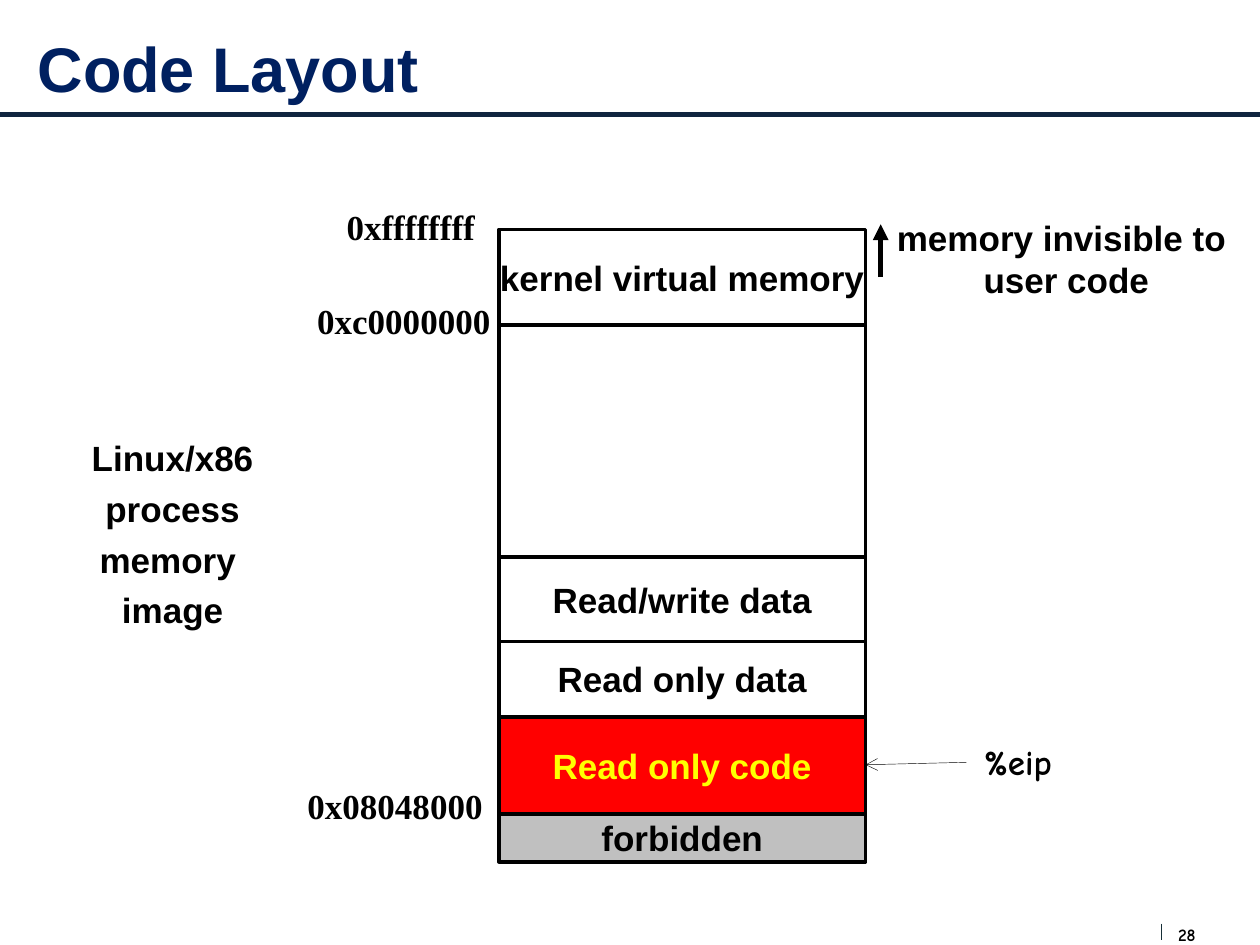
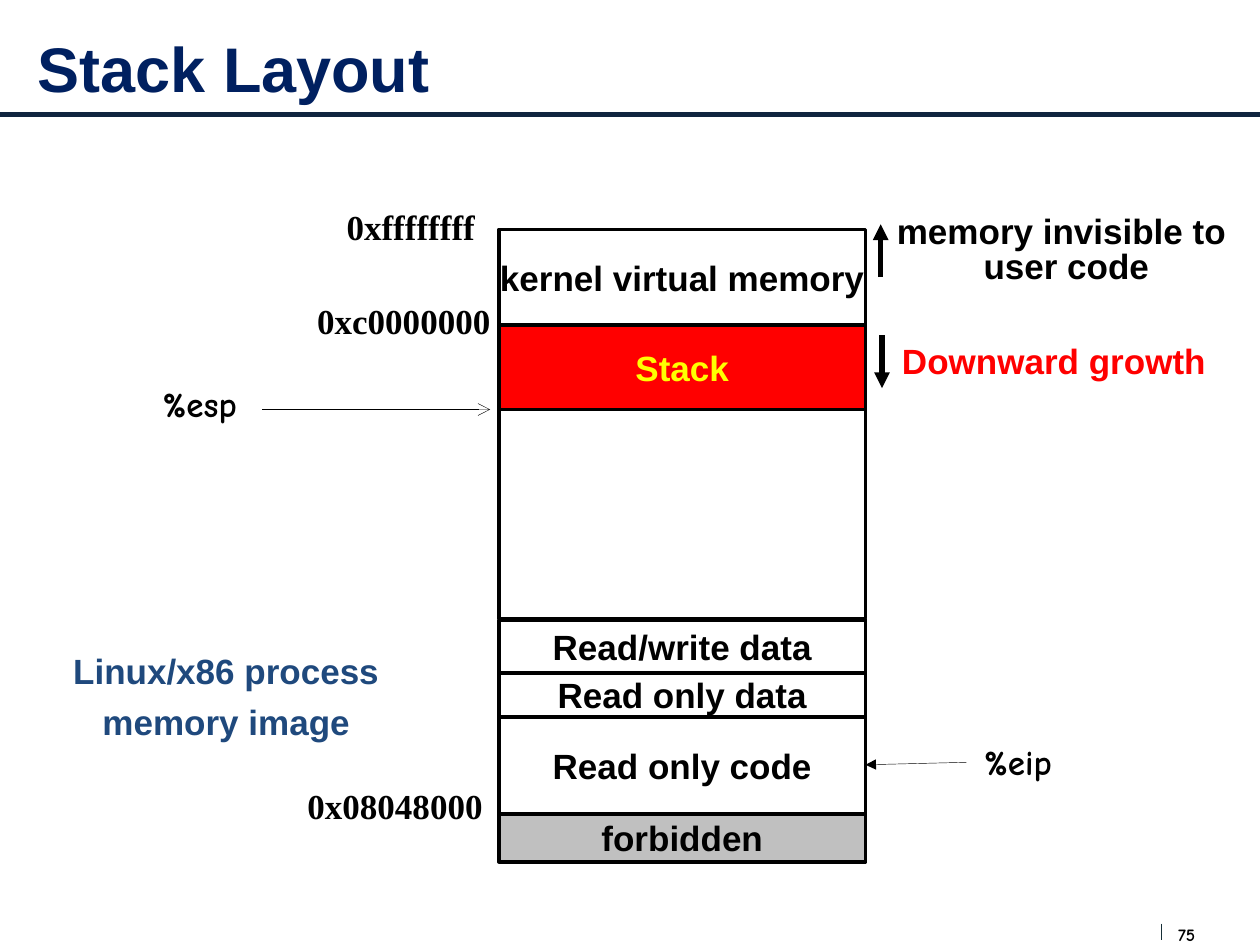
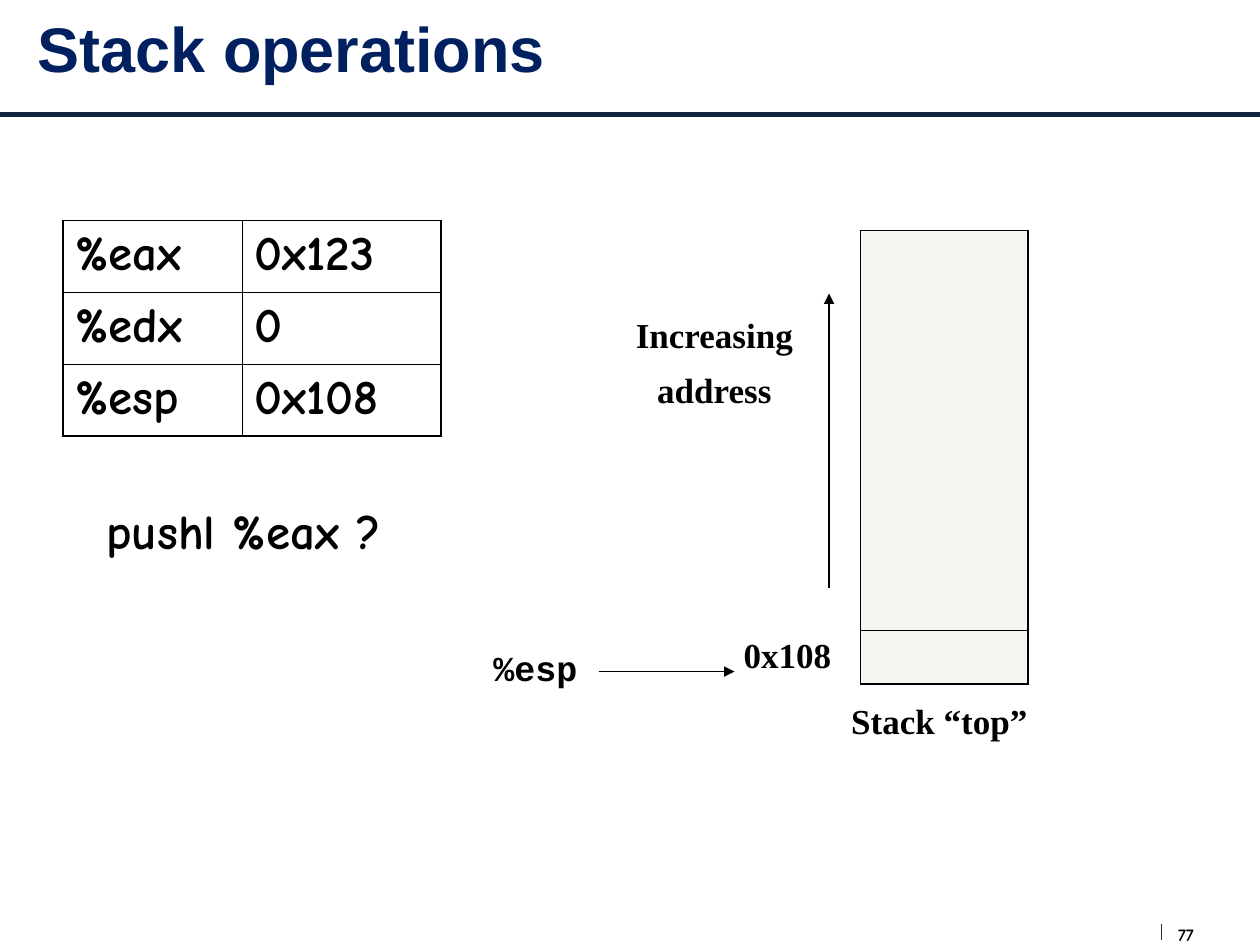
"""Build three slides on code layout, stack layout and stack operations."""
from lxml.etree import SubElement
from pptx import Presentation
from pptx.dml.color import RGBColor
from pptx.enum.shapes import MSO_CONNECTOR as Connector, MSO_SHAPE as Shape
from pptx.enum.text import MSO_ANCHOR as Anchor, MSO_AUTO_SIZE as AutoSize, PP_ALIGN as Align
from pptx.oxml.ns import qn
from pptx.util import Inches, Pt

COLORS = {
    "black": "000000", "white": "FFFFFF", "title": "002060", "rule": "10253F",
    "tick": "172F37", "red": "FF0000", "yellow": "FFFF00", "grey": "C0C0C0",
    "blue": "1F497D", "stack": "EEECE1",
}
SANS, SERIF, COMIC, MONO = "Arial", "Times New Roman", "Comic Neue", "Courier New"
MEMORY_LEFT, MEMORY_WIDTH = 3.96, 2.91
OUTER_BORDER, INNER_BORDER = 1.08, 0.45

KERNEL = ("kernel virtual memory", 1.82, 0.76, "white", "black")
FORBIDDEN = ("forbidden", 6.46, 0.38, "grey", "black")
CODE_REGIONS = [
    KERNEL,
    ("", 2.58, 2.17, "white", "black"),
    ("Read only code", 5.67, 0.81, "red", "yellow"),
    ("Read only data", 5.08, 0.61, "white", "black"),
    ("Read/write data", 4.42, 0.67, "white", "black"),
    FORBIDDEN,
]
STACK_REGIONS = [
    KERNEL,
    ("", 2.58, 2.33, "white", "black"),
    ("Read only code", 5.67, 0.81, "white", "black"),
    ("Read only data", 5.33, 0.36, "white", "black"),
    ("Read/write data", 4.92, 0.42, "white", "black"),
    FORBIDDEN,
    ("Stack", 2.58, 0.67, "red", "yellow"),
]

INVISIBLE = ["memory invisible to", " user code"]
MEMORY_LABELS = [
    (["0xffffffff"], (2.65, 1.58, 1.22, 0.44), {"font": SERIF}),
    (["0xc0000000"], (2.42, 2.33, 1.57, 0.44), {"font": SERIF}),
    (["0x08048000"], (2.34, 6.18, 1.59, 0.44), {"font": SERIF}),
    (["%eip"], (7.71, 5.83, 0.74, 0.44), {"font": COMIC}),
]
CODE_LABELS = MEMORY_LABELS + [
    (INVISIBLE, (7.02, 1.67, 2.81, 0.77), {}),
    (["Linux/x86", "process", "memory ", "image"], (0.63, 3.45, 1.48, 1.61),
     {"leading": 0.9, "gap": 7.5}),
]
STACK_LABELS = MEMORY_LABELS + [
    (INVISIBLE, (7.02, 1.67, 2.81, 0.66), {"leading": Pt(20)}),
    (["Linux/x86 process", "memory image"], (0.17, 5.14, 3.25, 0.8),
     {"color": "blue", "leading": 0.9, "gap": 7.5, "wrap": True}),
    (["Downward growth"], (7.06, 2.7, 2.61, 0.38), {"color": "red", "leading": Pt(20)}),
    (["%esp"], (1.19, 2.99, 0.79, 0.44), {"font": COMIC}),
]
OPERATION_LABELS = [
    (["Increasing", "address"], (4.92, 2.5, 1.5, 0.81),
     {"font": SERIF, "leading": 0.8, "gap": 12.5, "wrap": True}),
    (["pushl %eax ?"], (0.37, 3.92, 3.13, 0.57), {"font": COMIC, "size": 28}),
    (["Stack “top”"], (6.58, 5.5, 1.75, 0.44), {"font": SERIF, "wrap": True, "outline": "white"}),
    (["0x108"], (5.75, 4.98, 1, 0.44), {"font": SERIF, "wrap": True, "outline": "white"}),
    (["%esp"], (3.75, 5.08, 1, 0.44), {"font": MONO, "wrap": True}),
]

UP_ARROW = ((6.99, 2.2), (6.99, 1.78), 3, "triangle")
EIP_ENDS = ((7.67, 6.05), (6.87, 6.07))
CODE_ARROWS = [UP_ARROW, (*EIP_ENDS, 0.25, "arrow")]
STACK_ARROWS = [
    UP_ARROW,
    (*EIP_ENDS, 0.25, "triangle"),
    ((7, 2.66), (7, 3.08), 3, "triangle"),
    ((2.08, 3.25), (3.89, 3.25), 0.25, "arrow"),
]
OPERATION_ARROWS = [
    ((6.58, 4.67), (6.58, 2.33), 0.75, "triangle"),
    ((4.75, 5.33), (5.83, 5.33), 0.75, "triangle"),
]

TABLES = [
    {"at": (0.5, 1.75), "columns": [1.42, 1.58], "heights": [0.57] * 3, "fill": None,
     "rows": [["%eax", "0x123"], ["%edx", "0"], ["%esp", "0x108"]]},
    {"at": (6.83, 1.83), "columns": [1.33], "heights": [3.17, 0.43], "fill": "stack",
     "rows": [[""], [""]]},
]

SLIDES = [
    {"title": "Code Layout", "title_size": (9.53, 1.07), "number": "28",
     "regions": CODE_REGIONS, "labels": CODE_LABELS, "arrows": CODE_ARROWS, "tables": []},
    {"title": "Stack Layout", "title_size": (9.53, 1.07), "number": "75",
     "regions": STACK_REGIONS, "labels": STACK_LABELS, "arrows": STACK_ARROWS, "tables": []},
    {"title": "Stack operations", "title_size": (9.25, 0.75), "number": "77",
     "regions": [], "labels": OPERATION_LABELS, "arrows": OPERATION_ARROWS, "tables": TABLES},
]


def rgb(name):
    return RGBColor.from_string(COLORS[name])


def inches(values):
    return [Inches(value) for value in values]


def write(frame, lines, font=SANS, size=20, color="black", align=Align.CENTER,
          leading=None, gap=0):
    for index, text in enumerate(lines):
        para = frame.add_paragraph() if index else frame.paragraphs[0]
        para.alignment = align
        if leading:
            para.line_spacing = leading
        if index and gap:
            para.space_before = Pt(gap)
        span = para.add_run()
        span.text = text
        span.font.name = font
        span.font.size = Pt(size)
        span.font.bold = True
        span.font.color.rgb = rgb(color)


def add_label(page, lines, at, wrap=False, outline=None, **style):
    box = page.shapes.add_textbox(*inches(at))
    if outline:
        box.line.color.rgb = rgb(outline)
        box.line.width = Pt(0.75)
    frame = box.text_frame
    frame.word_wrap = wrap
    frame.auto_size = AutoSize.SHAPE_TO_FIT_TEXT if wrap else AutoSize.NONE
    write(frame, lines, **style)


def add_line(page, start, end, width, head=None, color="black"):
    line = page.shapes.add_connector(Connector.STRAIGHT, *inches(start + end))
    line.line.color.rgb = rgb(color)
    line.line.width = Pt(width)
    properties = line._element.spPr
    if head:
        SubElement(properties.find(qn("a:ln")), qn("a:tailEnd"), type=head)
    SubElement(properties, qn("a:effectLst"))


def add_region(page, label, top, height, fill, color):
    region = page.shapes.add_shape(
        Shape.RECTANGLE, *inches((MEMORY_LEFT, top, MEMORY_WIDTH, height)))
    region.shadow.inherit = False
    region.fill.solid()
    region.fill.fore_color.rgb = rgb(fill)
    region.line.color.rgb = rgb("black")
    region.line.width = Pt(2)
    if label:
        region.text_frame.word_wrap = False
        write(region.text_frame, [label], color=color)


def style_cell(cell, outer_sides, fill):
    properties = cell._tc.get_or_add_tcPr()
    for side in "LRTB":
        width = OUTER_BORDER if side in outer_sides else INNER_BORDER
        border = SubElement(properties, qn(f"a:ln{side}"), w=str(Pt(width)))
        solid = SubElement(border, qn("a:solidFill"))
        SubElement(solid, qn("a:srgbClr"), val=COLORS["black"])
    if fill:
        cell.fill.solid()
        cell.fill.fore_color.rgb = rgb(fill)
        SubElement(properties.find(qn("a:solidFill"))[0], qn("a:alpha"), val="50000")
    else:
        cell.fill.background()


def add_grid(page, at, columns, heights, fill, rows):
    size = (sum(columns), sum(heights))
    table = page.shapes.add_table(len(rows), len(columns), *inches(at + size)).table
    table.first_row = table.horz_banding = False
    for column, width in zip(table.columns, columns):
        column.width = Inches(width)
    for r, (texts, height) in enumerate(zip(rows, heights)):
        table.rows[r].height = Inches(height)
        for c, text in enumerate(texts):
            edges = {"L": c == 0, "R": c == len(columns) - 1,
                     "T": r == 0, "B": r == len(rows) - 1}
            cell = table.cell(r, c)
            style_cell(cell, [side for side, outer in edges.items() if outer], fill)
            if text:
                write(cell.text_frame, [text], font=COMIC, size=28, align=Align.LEFT)


def add_frame(page, title, title_size, number):
    add_line(page, (0, 0.91), (10, 0.91), 3, color="rule")
    add_line(page, (9.22, 7.33), (9.22, 7.46), 0.75, color="tick")
    footer = page.shapes.add_textbox(*inches((9.35, 7.33, 0.34, 0.17))).text_frame
    footer.margin_left = footer.margin_right = footer.margin_top = footer.margin_bottom = 0
    footer.word_wrap = True
    write(footer, [number], font=COMIC, size=10, align=Align.LEFT)
    heading = page.shapes.add_textbox(*inches((0.2, 0) + title_size)).text_frame
    heading.word_wrap = True
    heading.vertical_anchor = Anchor.MIDDLE
    write(heading, [title], size=36, color="title", align=Align.LEFT)


def main():
    deck = Presentation()
    deck.slide_width, deck.slide_height = Inches(10), Inches(7.5)
    for content in SLIDES:
        page = deck.slides.add_slide(deck.slide_layouts[6])
        add_frame(page, content["title"], content["title_size"], content["number"])
        for region in content["regions"]:
            add_region(page, *region)
        for grid in content["tables"]:
            add_grid(page, **grid)
        for lines, at, style in content["labels"]:
            add_label(page, lines, at, **style)
        for arrow in content["arrows"]:
            add_line(page, *arrow)
    deck.save("out.pptx")


if __name__ == "__main__":
    main()
